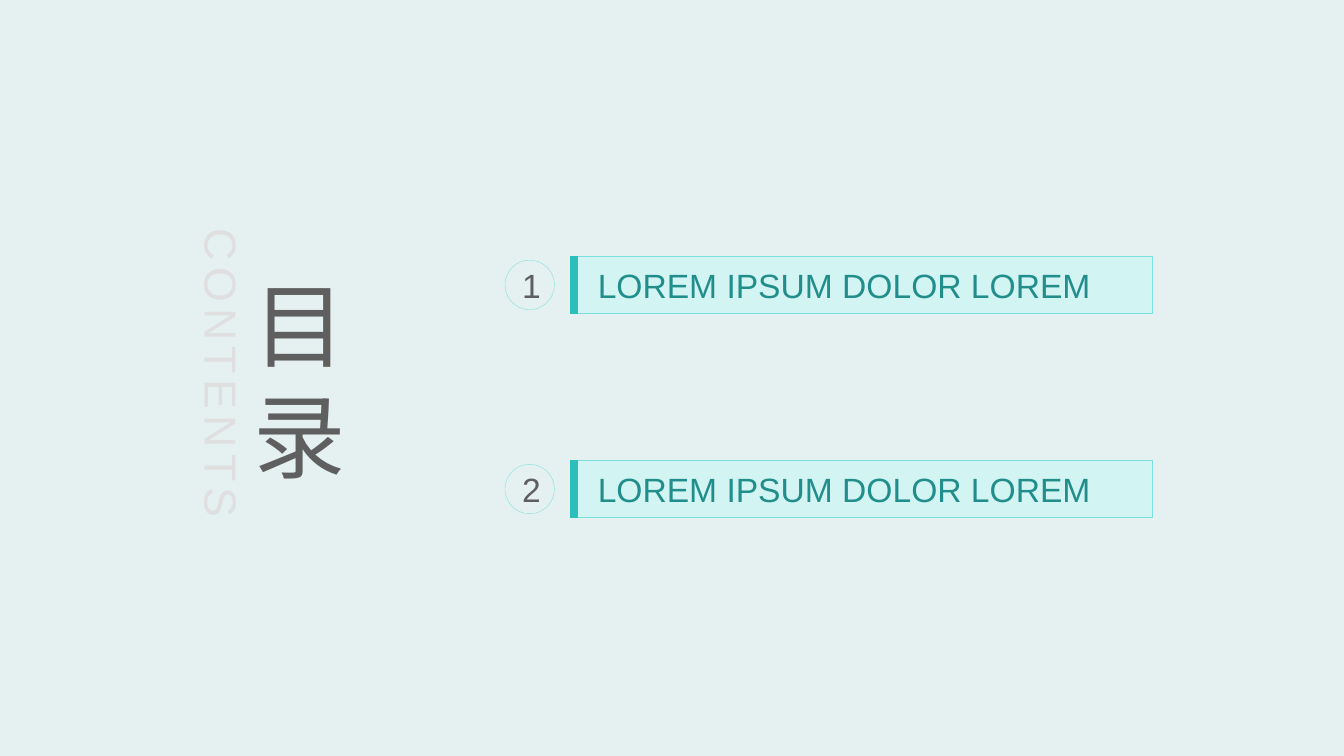
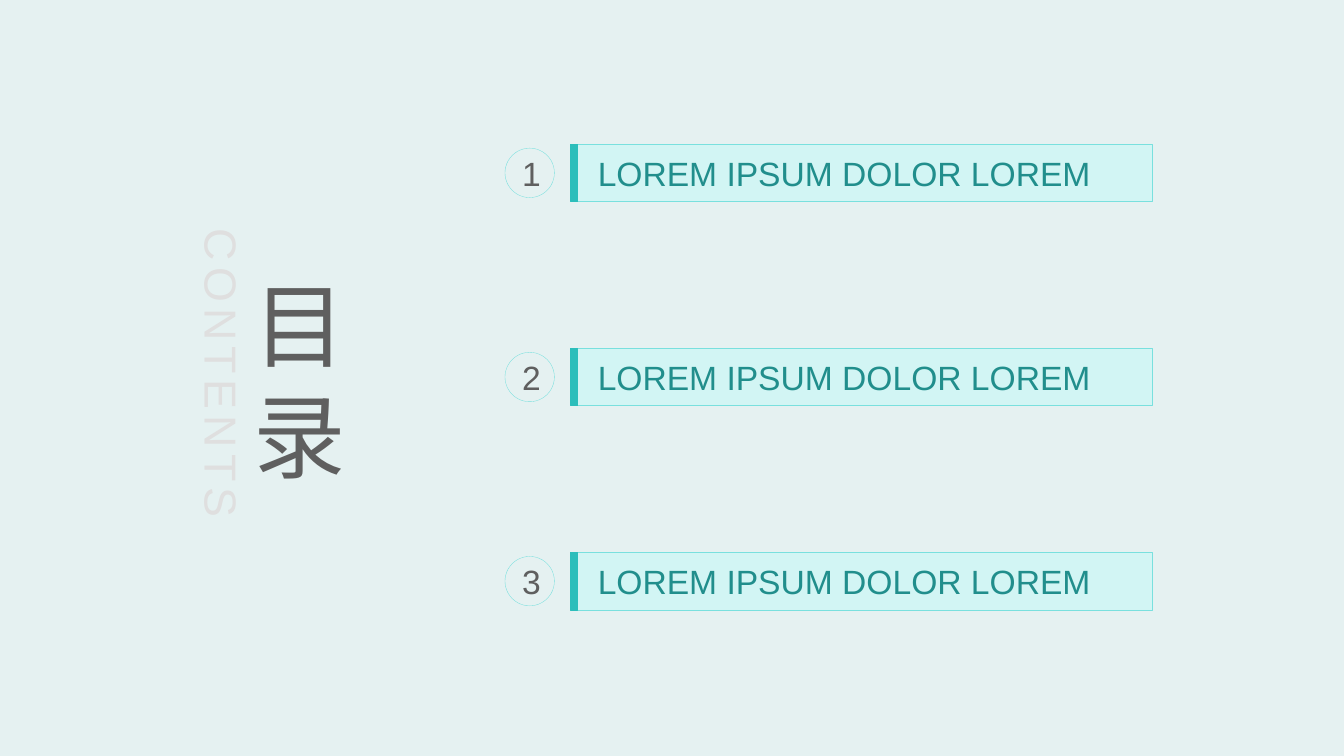
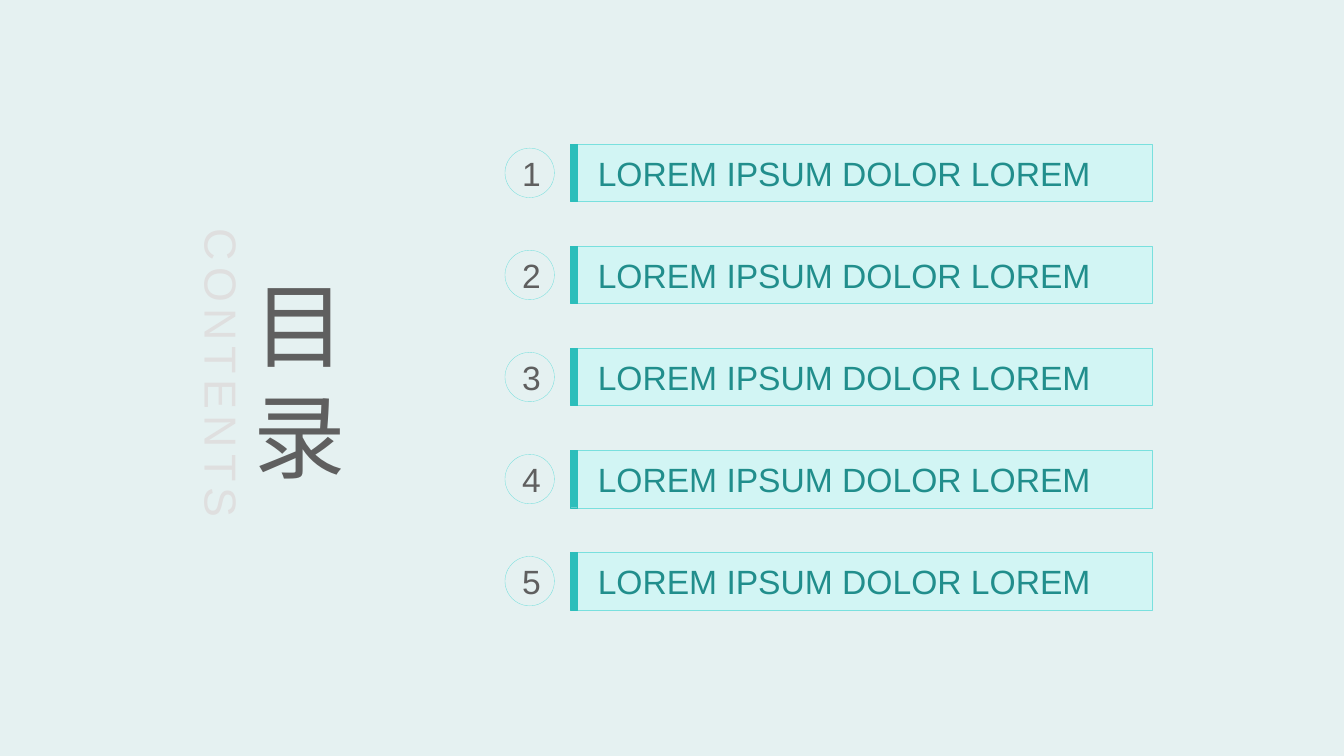
"""Build three contents slides with two, three and five numbered entries."""
from dataclasses import dataclass

from lxml import etree
from pptx import Presentation
from pptx import util as u
from pptx.dml.color import RGBColor
from pptx.enum import shapes, text
from pptx.oxml.ns import qn

BACKGROUND = RGBColor(0xE5, 0xF1, 0xF1)
BAR_FILL = RGBColor(0xD2, 0xF5, 0xF4)
OUTLINE = RGBColor(0x79, 0xE0, 0xDE)
ACCENT = RGBColor(0x2C, 0xBE, 0xBB)
ENTRY_TEXT = RGBColor(0x21, 0x8E, 0x8C)
DARK_TEXT = RGBColor(0x5F, 0x5F, 0x5F)
PALE_TEXT = RGBColor(0xDF, 0xDF, 0xDF)

FONT = "Arial"
ENTRY = "LOREM IPSUM DOLOR LOREM"
BAR_LEFT, BAR_WIDTH, BAR_HEIGHT = 412.6, 410.4, 41
ACCENT_WIDTH = 5
CIRCLE_LEFT, CIRCLE_SIZE = 360.7, 35.3


@dataclass(frozen=True)
class Box:
    left: float
    top: float
    width: float
    height: float

    def lengths(self) -> tuple:
        return u.Pt(self.left), u.Pt(self.top), u.Pt(self.width), u.Pt(self.height)


@dataclass(frozen=True)
class Contents:
    entries: tuple[str, ...]
    top: float
    pitch: float


CONTENTS_SLIDES = (
    Contents((ENTRY,) * 2, 183, 145.8),
    Contents((ENTRY,) * 3, 103, 145.8),
    Contents((ENTRY,) * 5, 103, 72.9),
)


def style_paragraph(paragraph, size: float, color: RGBColor, alignment) -> None:
    paragraph.alignment = alignment
    paragraph.font.size = u.Pt(size)
    paragraph.font.name = FONT
    paragraph.font.color.rgb = color


def set_insets(frame, left: float = 0) -> None:
    frame.margin_left = u.Pt(left)
    frame.margin_top = frame.margin_right = frame.margin_bottom = 0


def add_outlined(group, kind, box: Box, line: RGBColor, fill: RGBColor | None = None):
    shape = group.shapes.add_shape(kind, *box.lengths())
    shape.shadow.inherit = False
    if fill is None:
        shape.fill.background()
    else:
        shape.fill.solid()
        shape.fill.fore_color.rgb = fill
    shape.line.color.rgb = line
    shape.line.width = u.Pt(0.25)
    return shape


def write_label(shape, label: str, color: RGBColor, alignment) -> None:
    frame = shape.text_frame
    frame.text = label
    frame.vertical_anchor = text.MSO_ANCHOR.MIDDLE
    style_paragraph(frame.paragraphs[0], 24, color, alignment)


def add_entry(slide, number: int, label: str, top: float) -> None:
    group = slide.shapes.add_group_shape()
    rectangle = shapes.MSO_SHAPE.RECTANGLE

    bar = add_outlined(group, rectangle, Box(BAR_LEFT, top, BAR_WIDTH, BAR_HEIGHT),
                       OUTLINE, BAR_FILL)
    set_insets(bar.text_frame, left=14.4)
    write_label(bar, label, ENTRY_TEXT, text.PP_ALIGN.LEFT)

    circle_top = top + (BAR_HEIGHT - CIRCLE_SIZE) / 2
    circle = add_outlined(group, shapes.MSO_SHAPE.OVAL,
                          Box(CIRCLE_LEFT, circle_top, CIRCLE_SIZE, CIRCLE_SIZE), OUTLINE)
    write_label(circle, str(number), DARK_TEXT, text.PP_ALIGN.CENTER)

    add_outlined(group, rectangle,
                 Box(BAR_LEFT - ACCENT_WIDTH, top, ACCENT_WIDTH, BAR_HEIGHT), ACCENT, ACCENT)


def add_text_box(slide, box: Box, lines: str, size: float, color: RGBColor, alignment):
    frame = slide.shapes.add_textbox(*box.lengths()).text_frame
    frame.word_wrap = True
    frame.vertical_anchor = text.MSO_ANCHOR.MIDDLE
    set_insets(frame)
    frame.text = lines
    for paragraph in frame.paragraphs:
        style_paragraph(paragraph, size, color, alignment)
    return frame


def add_heading(slide) -> None:
    caption = add_text_box(slide, Box(141, 163.4, 36, 220), "CONTENTS", 32,
                           PALE_TEXT, text.PP_ALIGN.LEFT)
    caption._txBody.bodyPr.set("vert", "vert")
    caption.paragraphs[0].runs[0].font._element.set("spc", "430")

    title = add_text_box(slide, Box(157.7, 190.8, 113, 159.8), "目\n录", 66,
                         DARK_TEXT, text.PP_ALIGN.CENTER)
    for paragraph in title.paragraphs:
        east_asian = etree.SubElement(paragraph.font._element, qn("a:ea"))
        east_asian.set("typeface", FONT)


def add_contents_slide(presentation, contents: Contents) -> None:
    slide = presentation.slides.add_slide(presentation.slide_layouts[6])
    for index, label in enumerate(contents.entries):
        add_entry(slide, index + 1, label, contents.top + index * contents.pitch)
    add_heading(slide)


def main() -> None:
    presentation = Presentation()
    presentation.slide_width, presentation.slide_height = u.Pt(960), u.Pt(540)
    background = presentation.slide_master.background.fill
    background.solid()
    background.fore_color.rgb = BACKGROUND
    for contents in CONTENTS_SLIDES:
        add_contents_slide(presentation, contents)
    presentation.save("out.pptx")


if __name__ == "__main__":
    main()
